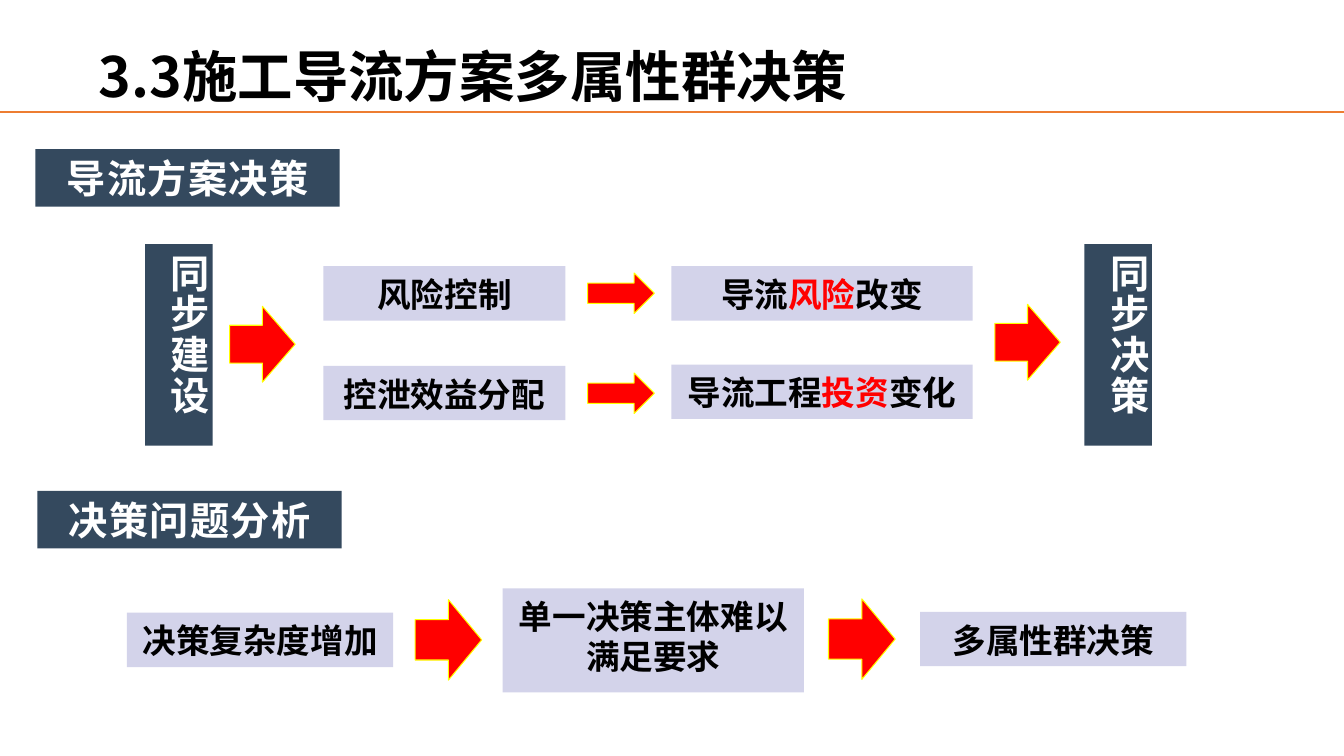
"""Build the slide on multi-attribute group decisions for diversion schemes."""
from dataclasses import dataclass

from lxml.etree import SubElement
from pptx import Presentation
from pptx.dml.color import RGBColor
from pptx.enum.shapes import MSO_CONNECTOR, MSO_SHAPE
from pptx.enum.text import MSO_ANCHOR, PP_ALIGN
from pptx.oxml.ns import qn
from pptx.shapes.autoshape import Shape
from pptx.slide import Slide
from pptx.util import Cm, Pt

FONT_NAME = "Noto Sans CJK SC"
BLACK = RGBColor(0x00, 0x00, 0x00)
WHITE = RGBColor(0xFF, 0xFF, 0xFF)
RED = RGBColor(0xFF, 0x00, 0x00)
YELLOW = RGBColor(0xFF, 0xFF, 0x00)
ORANGE = RGBColor(0xED, 0x7D, 0x31)
SLATE = RGBColor(0x34, 0x49, 0x5E)
INDIGO = RGBColor(0x26, 0x26, 0x99)


@dataclass(frozen=True)
class Frame:
    left: float
    top: float
    width: float
    height: float

    def lengths(self) -> tuple[Cm, Cm, Cm, Cm]:
        return Cm(self.left), Cm(self.top), Cm(self.width), Cm(self.height)


@dataclass(frozen=True)
class Label:
    text: str
    frame: Frame
    highlight: str = ""


HEADINGS = [
    Label("导流方案决策", Frame(0.89, 3.76, 7.67, 1.45)),
    Label("决策问题分析", Frame(0.94, 12.37, 7.67, 1.45)),
]
PILLARS = [
    Label("同步建设", Frame(3.66, 6.15, 1.7, 5.08)),
    Label("同步决策", Frame(27.33, 6.15, 1.7, 5.08)),
]
STEPS = [
    Label("风险控制", Frame(8.15, 6.71, 6.1, 1.37)),
    Label("导流风险改变", Frame(16.92, 6.71, 7.59, 1.37), "风险"),
    Label("控泄效益分配", Frame(8.15, 9.22, 6.1, 1.37)),
    Label("导流工程投资变化", Frame(16.92, 9.19, 7.59, 1.37), "投资"),
    Label("决策复杂度增加", Frame(3.2, 15.44, 6.71, 1.37)),
    Label("单一决策主体难以满足要求", Frame(12.67, 14.83, 7.59, 2.62)),
    Label("多属性群决策", Frame(23.19, 15.42, 6.71, 1.37)),
]
ARROWS = [
    Frame(5.79, 7.72, 1.65, 1.91),
    Frame(14.81, 6.88, 1.68, 1.02),
    Frame(14.81, 9.4, 1.68, 1.02),
    Frame(25.07, 7.67, 1.65, 1.91),
    Frame(10.46, 15.11, 1.68, 2.03),
    Frame(20.88, 15.09, 1.68, 2.03),
]


def write_text(
    shape: Shape,
    text: str,
    *,
    size: float,
    color: RGBColor,
    highlight: str = "",
    alignment: PP_ALIGN = PP_ALIGN.CENTER,
    anchor: MSO_ANCHOR = MSO_ANCHOR.MIDDLE,
    line_spacing: float = 1.0,
    character_spacing: int = 0,
) -> None:
    frame = shape.text_frame
    frame.word_wrap = True
    frame.vertical_anchor = anchor
    paragraph = frame.paragraphs[0]
    paragraph.alignment = alignment
    paragraph.line_spacing = line_spacing
    before, marked, after = text.partition(highlight) if highlight else (text, "", "")
    for part, part_color in ((before, color), (marked, RED), (after, color)):
        if not part:
            continue
        run = paragraph.add_run()
        run.text = part
        run.font.size = Pt(size)
        run.font.bold = True
        run.font.name = FONT_NAME
        run.font.color.rgb = part_color
        properties = run.font._element
        SubElement(properties, qn("a:ea")).set("typeface", FONT_NAME)
        if character_spacing:
            properties.set("spc", str(character_spacing))


def add_block(slide: Slide, kind: MSO_SHAPE, frame: Frame, fill: RGBColor) -> Shape:
    shape = slide.shapes.add_shape(kind, *frame.lengths())
    shape.shadow.inherit = False
    shape.fill.solid()
    shape.fill.fore_color.rgb = fill
    shape.line.fill.background()
    return shape


def add_title(slide: Slide) -> None:
    rule = slide.shapes.add_connector(
        MSO_CONNECTOR.STRAIGHT, Cm(0), Cm(2.82), Cm(33.87), Cm(2.82)
    )
    rule.line.color.rgb = ORANGE
    rule.line.width = Pt(1)
    SubElement(rule._element.spPr, qn("a:effectLst"))
    title = slide.shapes.add_textbox(*Frame(2.24, 1.09, 24.92, 1.85).lengths())
    write_text(title, "3.3施工导流方案多属性群决策", size=39.6, color=BLACK,
               alignment=PP_ALIGN.LEFT, line_spacing=0.9)


def add_heading(slide: Slide, label: Label) -> None:
    shape = add_block(slide, MSO_SHAPE.RECTANGLE, label.frame, SLATE)
    write_text(shape, label.text, size=28, color=WHITE, character_spacing=100)


def add_pillar(slide: Slide, label: Label) -> None:
    shape = add_block(slide, MSO_SHAPE.RECTANGLE, label.frame, SLATE)
    write_text(shape, label.text, size=28, color=WHITE, character_spacing=100,
               alignment=PP_ALIGN.LEFT, anchor=MSO_ANCHOR.TOP)
    frame = shape.text_frame
    frame.margin_left = frame.margin_right = frame.margin_bottom = Cm(0)
    frame.margin_top = Cm(0.25)
    frame._txBody.bodyPr.set("vert", "eaVert")


def add_step(slide: Slide, label: Label) -> None:
    shape = add_block(slide, MSO_SHAPE.RECTANGLE, label.frame, INDIGO)
    color = shape._element.spPr.find(qn("a:solidFill")).find(qn("a:srgbClr"))
    SubElement(color, qn("a:alpha")).set("val", "20000")
    write_text(shape, label.text, size=24, color=BLACK, highlight=label.highlight,
               anchor=MSO_ANCHOR.TOP)
    shape.text_frame.margin_top = Cm(0.19)


def add_arrow(slide: Slide, frame: Frame) -> None:
    arrow = add_block(slide, MSO_SHAPE.RIGHT_ARROW, frame, RED)
    arrow.line.color.rgb = YELLOW
    arrow.line.width = Pt(0.75)


def main() -> None:
    presentation = Presentation()
    presentation.slide_width = Cm(33.87)
    presentation.slide_height = Cm(19.05)
    slide = presentation.slides.add_slide(presentation.slide_layouts[6])
    add_title(slide)
    for heading in HEADINGS:
        add_heading(slide, heading)
    for pillar in PILLARS:
        add_pillar(slide, pillar)
    for step in STEPS:
        add_step(slide, step)
    for arrow in ARROWS:
        add_arrow(slide, arrow)
    presentation.save("out.pptx")


if __name__ == "__main__":
    main()
